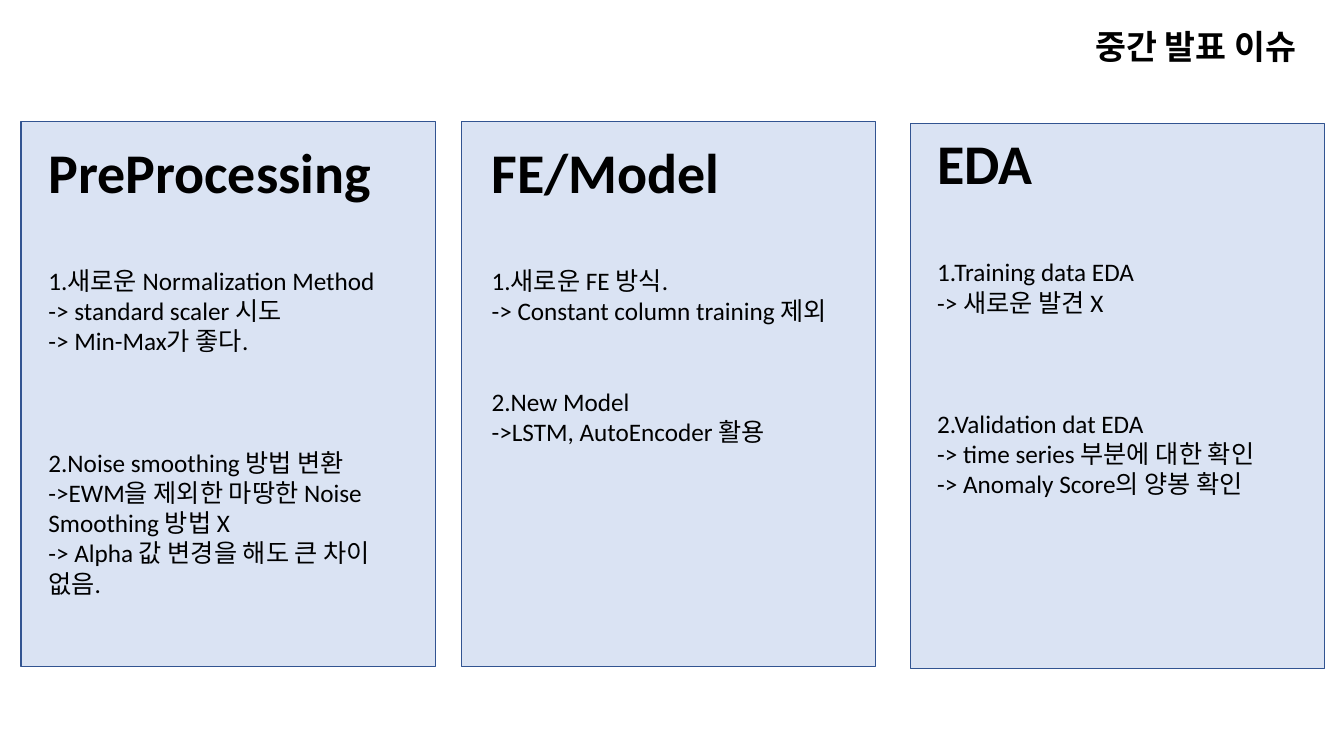
from pptx import Presentation
from pptx.dml.color import RGBColor
from pptx.enum.shapes import MSO_SHAPE
from pptx.enum.text import MSO_AUTO_SIZE
from pptx.util import Cm, Pt

RECTANGLE = MSO_SHAPE.RECTANGLE
FIT_SHAPE = MSO_AUTO_SIZE.SHAPE_TO_FIT_TEXT

TITLE = "중간 발표 이슈"
# Positions and heights in centimetres; each group is (blank lines above, lines)
PANELS = [
    {"heading": "PreProcessing", "panel": (0.53, 3.07), "text": (0.97, 3.33), "height": 11.96,
     "groups": [
         (2, ["1.새로운 Normalization Method", "-> standard scaler 시도", "-> Min-Max가 좋다."]),
         (3, ["2.Noise smoothing 방법 변환",
              "->EWM을 제외한 마땅한 Noise Smoothing 방법 X",
              "-> Alpha 값 변경을 해도 큰 차이 없음."]),
     ]},
    {"heading": "FE/Model", "panel": (11.63, 3.07), "text": (12.14, 3.33), "height": 8.89,
     "groups": [
         (2, ["1.새로운 FE 방식.", "-> Constant column training 제외"]),
         (2, ["2.New Model", "->LSTM, AutoEncoder 활용"]),
     ]},
    {"heading": "EDA", "panel": (22.94, 3.12), "text": (23.37, 3.12), "height": 9.65,
     "groups": [
         (2, ["1.Training data EDA", "-> 새로운 발견 X"]),
         (3, ["2.Validation dat EDA", "-> time series 부분에 대한 확인",
              "-> Anomaly Score의 양봉 확인"]),
     ]},
]

COLOURS = {"panel": "DAE3F3", "border": "325491", "text": "000000"}
FONT = "Calibri"
PANEL_SIZE = (10.44, 13.72)
TEXT_WIDTH = 9.58
LINE_HEIGHT = 21.7


def colour(name):
    return RGBColor.from_string(COLOURS[name])


def add_box(page, left, top, width, height, wrap=True):
    box = page.shapes.add_textbox(Cm(left), Cm(top), Cm(width), Cm(height))
    box.text_frame.word_wrap = wrap
    box.text_frame.auto_size = FIT_SHAPE
    return box.text_frame


def write(para, text, size=18, bold=False, before=0):
    span = para.add_run()
    span.text = text
    span.font.name = FONT
    span.font.size = Pt(size)
    span.font.bold = bold
    span.font.color.rgb = colour("text")
    if before:
        para.space_before = Pt(before)


def add_panel(page, left, top):
    panel = page.shapes.add_shape(RECTANGLE, Cm(left), Cm(top), *map(Cm, PANEL_SIZE))
    panel.shadow.inherit = False
    panel.fill.solid()
    panel.fill.fore_color.rgb = colour("panel")
    panel.line.color.rgb = colour("border")
    panel.line.width = Pt(1)


def add_issues(page, issue):
    frame = add_box(page, *issue["text"], TEXT_WIDTH, issue["height"])
    write(frame.paragraphs[0], issue["heading"], size=40, bold=True)
    for blank_lines, lines in issue["groups"]:
        for index, line in enumerate(lines):
            before = 0 if index else blank_lines * LINE_HEIGHT
            write(frame.add_paragraph(), line, before=before)


def main():
    deck = Presentation()
    deck.slide_width, deck.slide_height = Cm(33.87), Cm(19.05)
    page = deck.slides.add_slide(deck.slide_layouts[6])
    title = add_box(page, 27.36, 0.53, 6.02, 1.27, wrap=False)
    write(title.paragraphs[0], TITLE, size=24, bold=True)
    for issue in PANELS:
        add_panel(page, *issue["panel"])
    for issue in PANELS:
        add_issues(page, issue)
    deck.save("out.pptx")


if __name__ == "__main__":
    main()
